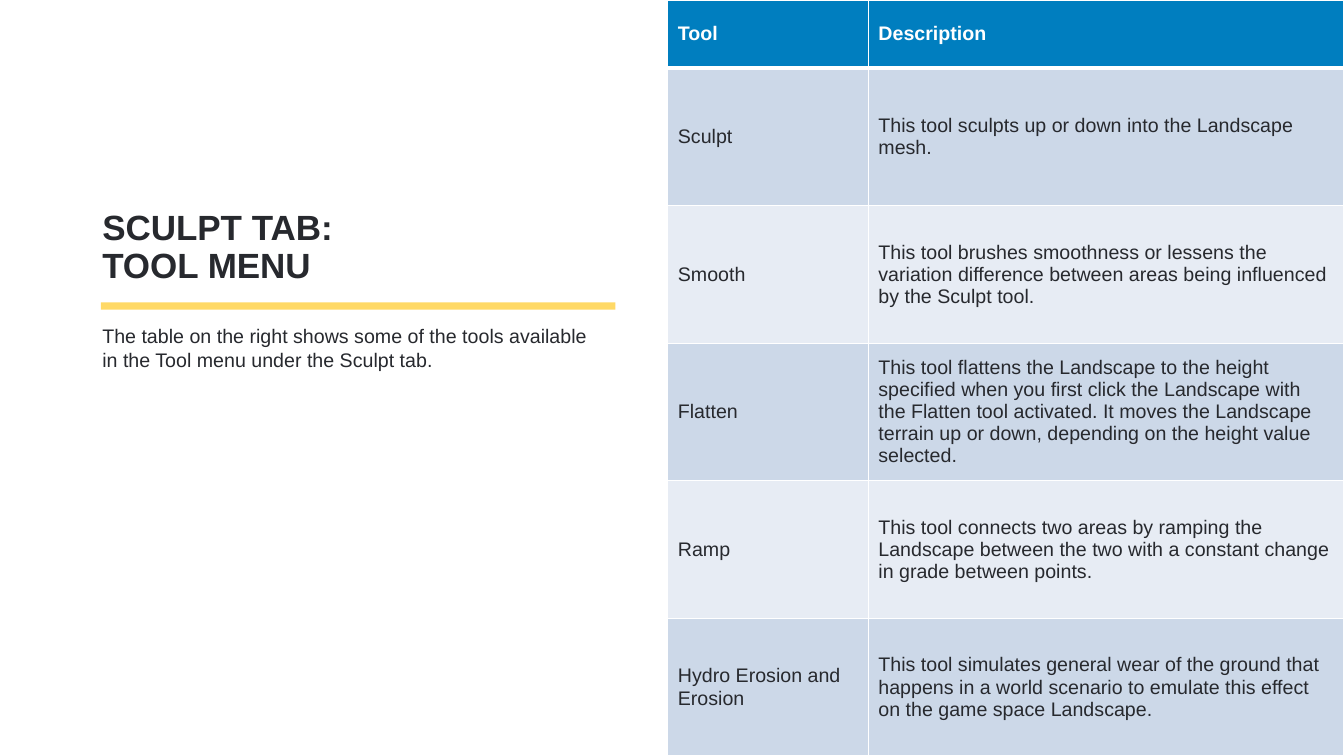
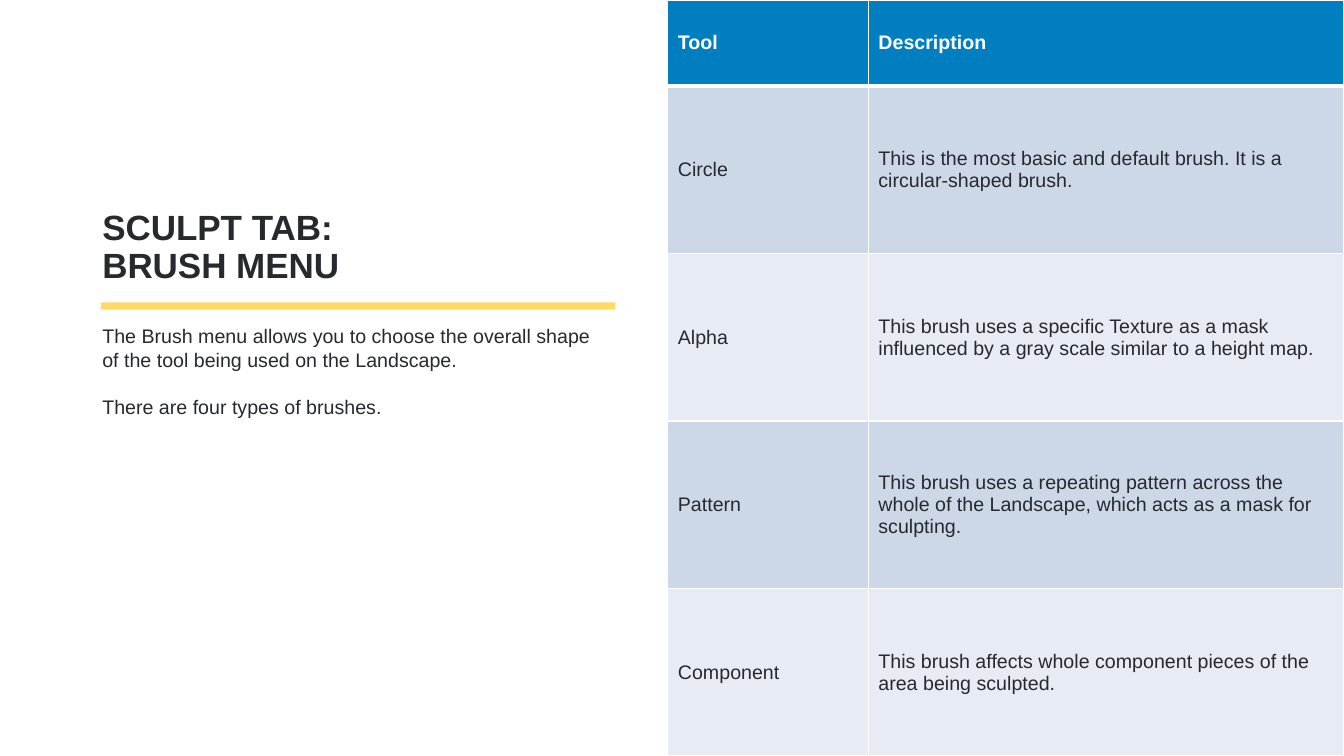
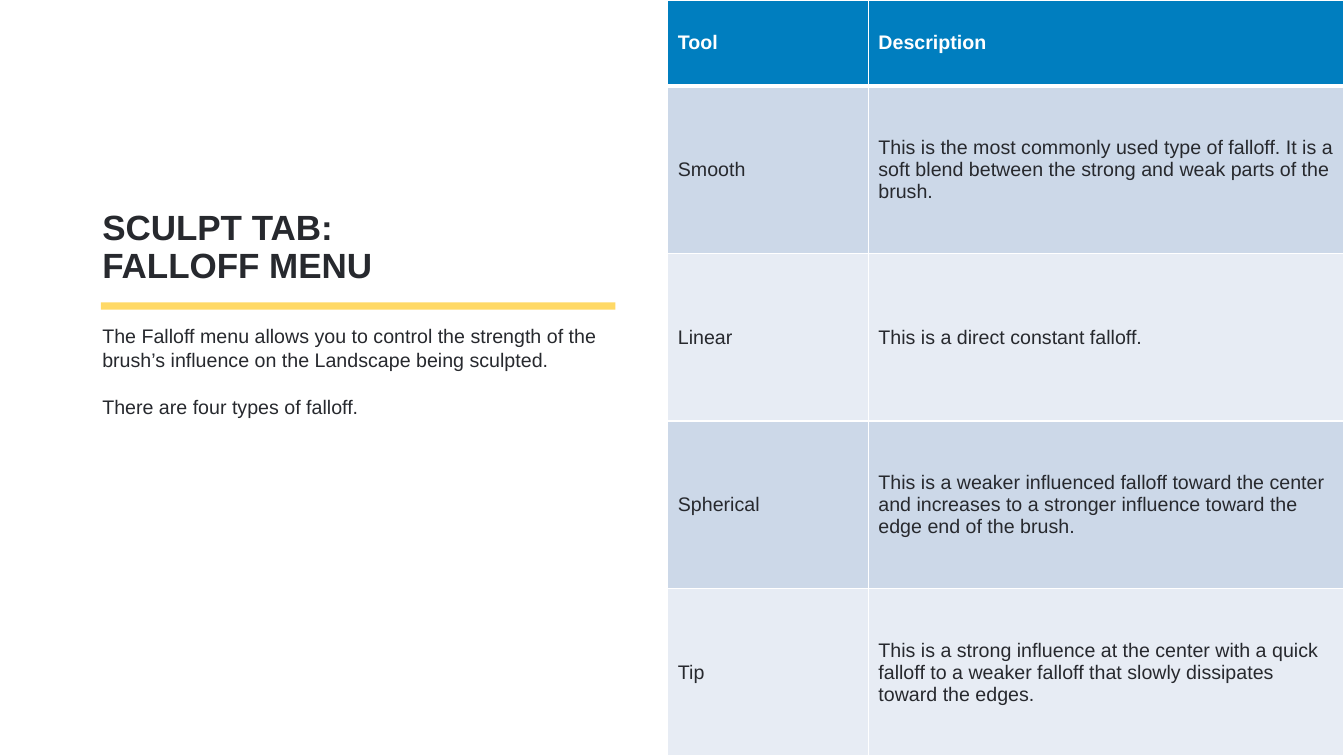
from lxml.etree import SubElement
from pptx import Presentation
from pptx.dml.color import RGBColor
from pptx.enum.shapes import MSO_SHAPE
from pptx.enum.text import MSO_ANCHOR
from pptx.oxml.ns import qn
from pptx.util import Pt

PX = 9525
WIDTH, HEIGHT = 1280, 720
TEXT_LEFT, TEXT_WIDTH = 88, 490
TABLE_LEFT = 636
COLUMN_WIDTHS = [191, 453]
INK, WHITE, BLUE, YELLOW = "27292E", "FFFFFF", "007EBF", "FFD966"
BANDS = ["CCD8E8", "E7ECF4"]

TITLE = {"name": "Arial", "size": Pt(25), "bold": True}
BODY = {"name": "Arial", "size": Pt(14), "bold": False}
HEADER = {"name": "Arial", "size": Pt(14), "bold": True}

SLIDES = [
    {
        "title": "SCULPT TAB:\nTOOL MENU",
        "body": ["The table on the right shows some of the tools available in the Tool menu under the Sculpt tab."],
        "header_height": 65,
        "rows": [
            ("Sculpt", "This tool sculpts up or down into the Landscape mesh."),
            ("Smooth", "This tool brushes smoothness or lessens the variation difference between areas being influenced by the Sculpt tool."),
            ("Flatten", "This tool flattens the Landscape to the height specified when you first click the Landscape with the Flatten tool activated. It moves the Landscape terrain up or down, depending on the height value selected."),
            ("Ramp", "This tool connects two areas by ramping the Landscape between the two with a constant change in grade between points."),
            ("Hydro Erosion and Erosion", "This tool simulates general wear of the ground that happens in a world scenario to emulate this effect on the game space Landscape."),
        ],
    },
    {
        "title": "SCULPT TAB:\nBRUSH MENU",
        "body": [
            "The Brush menu allows you to choose the overall shape of the tool being used on the Landscape.",
            "There are four types of brushes.",
        ],
        "header_height": 82,
        "rows": [
            ("Circle", "This is the most basic and default brush. It is a circular-shaped brush."),
            ("Alpha", "This brush uses a specific Texture as a mask influenced by a gray scale similar to a height map."),
            ("Pattern", "This brush uses a repeating pattern across the whole of the Landscape, which acts as a mask for sculpting."),
            ("Component", "This brush affects whole component pieces of the area being sculpted."),
        ],
    },
    {
        "title": "SCULPT TAB:\nFALLOFF MENU",
        "body": [
            "The Falloff menu allows you to control the strength of the brush’s influence on the Landscape being sculpted.",
            "There are four types of falloff.",
        ],
        "header_height": 82,
        "rows": [
            ("Smooth", "This is the most commonly used type of falloff. It is a soft blend between the strong and weak parts of the brush."),
            ("Linear", "This is a direct constant falloff."),
            ("Spherical", "This is a weaker influenced falloff toward the center and increases to a stronger influence toward the edge end of the brush."),
            ("Tip", "This is a strong influence at the center with a quick falloff to a weaker falloff that slowly dissipates toward the edges."),
        ],
    },
]


def paint(color_format, color):
    color_format.rgb = RGBColor.from_string(color)


def write(paragraph, text, style, color):
    paragraph.text = text
    for run in paragraph.runs:
        for attribute, value in style.items():
            setattr(run.font, attribute, value)
        paint(run.font.color, color)


presentation = Presentation()
presentation.slide_width = WIDTH * PX
presentation.slide_height = HEIGHT * PX

for content in SLIDES:
    slide = presentation.slides.add_slide(presentation.slide_layouts[6])

    bar = slide.shapes.add_shape(MSO_SHAPE.RECTANGLE, 96 * PX, 288 * PX, TEXT_WIDTH * PX, 7 * PX)
    bar.shadow.inherit = False
    bar.fill.solid()
    paint(bar.fill.fore_color, YELLOW)
    bar.line.fill.background()

    title = slide.shapes.add_textbox(TEXT_LEFT * PX, 48 * PX, TEXT_WIDTH * PX, 229 * PX)
    title.text_frame.word_wrap = True
    title.text_frame.vertical_anchor = MSO_ANCHOR.BOTTOM
    title.text_frame.paragraphs[0].line_spacing = 0.9
    write(title.text_frame.paragraphs[0], content["title"], TITLE, INK)

    rows = [("Tool", "Description")] + content["rows"]
    table = slide.shapes.add_table(
        len(rows), 2, TABLE_LEFT * PX, 0, sum(COLUMN_WIDTHS) * PX, HEIGHT * PX
    ).table
    for column, width in zip(table.columns, COLUMN_WIDTHS):
        column.width = width * PX
    header_height = content["header_height"]
    row_height = (HEIGHT - header_height) * PX // len(content["rows"])
    for row_index, texts in enumerate(rows):
        is_header = row_index == 0
        table.rows[row_index].height = header_height * PX if is_header else row_height
        borders = {
            "a:lnL": 1,
            "a:lnR": 1,
            "a:lnT": 3 if row_index == 1 else 1,
            "a:lnB": 3 if is_header else 1,
        }
        for column_index, text in enumerate(texts):
            cell = table.cell(row_index, column_index)
            cell.vertical_anchor = MSO_ANCHOR.MIDDLE
            properties = cell._tc.get_or_add_tcPr()
            for tag, points in borders.items():
                border = SubElement(properties, qn(tag), w=str(Pt(points)))
                border_fill = SubElement(border, qn("a:solidFill"))
                SubElement(border_fill, qn("a:srgbClr"), val=WHITE)
            cell.fill.solid()
            paint(cell.fill.fore_color, BLUE if is_header else BANDS[(row_index - 1) % 2])
            write(
                cell.text_frame.paragraphs[0],
                text,
                HEADER if is_header else BODY,
                WHITE if is_header else INK,
            )

    body = slide.shapes.add_textbox(TEXT_LEFT * PX, 304 * PX, TEXT_WIDTH * PX, 420 * PX)
    body.text_frame.word_wrap = True
    for index, text in enumerate(content["body"]):
        paragraph = body.text_frame.add_paragraph() if index else body.text_frame.paragraphs[0]
        if index:
            paragraph.space_before = Pt(17)
        write(paragraph, text, BODY, INK)

presentation.save("out.pptx")
